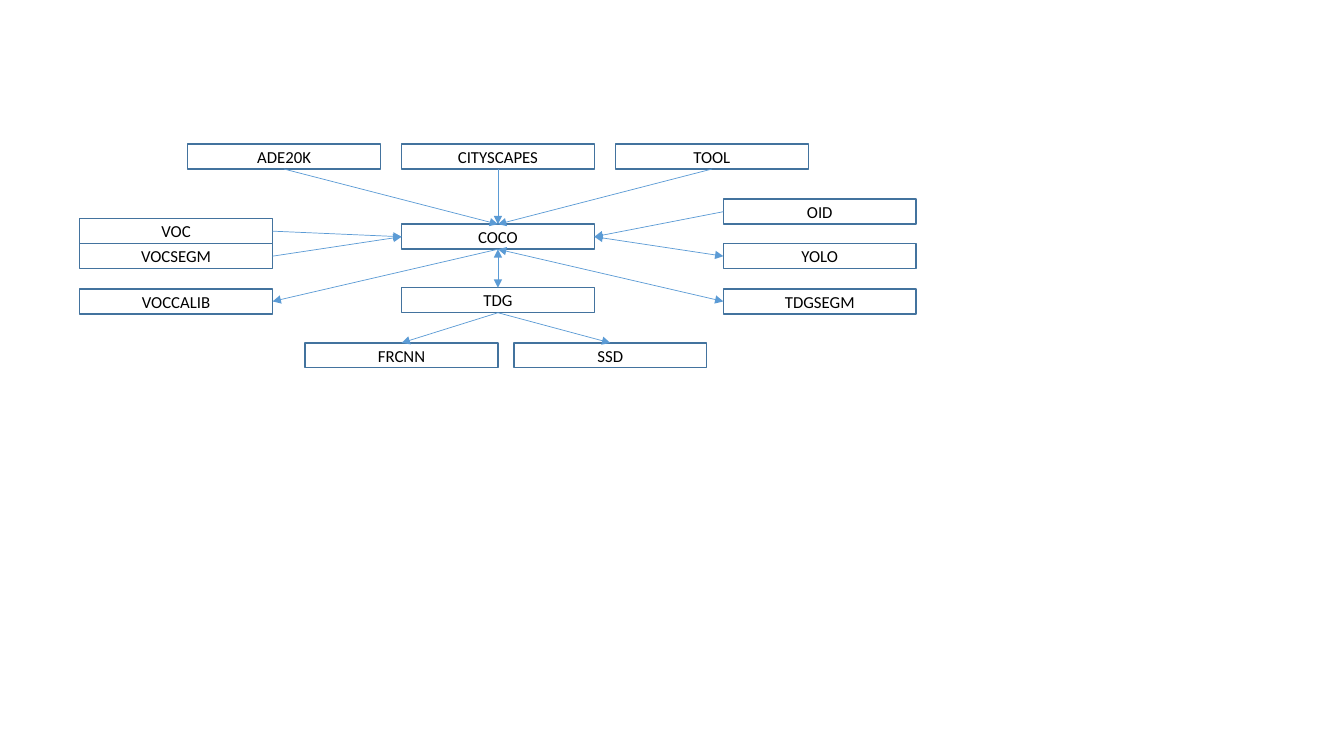
"""Build a slide showing conversions between dataset annotation formats."""
import pptx
import pptx.util
import pptx.dml.color
import pptx.enum.shapes
import pptx.enum.text
import pptx.oxml.ns
from lxml import etree

Cm, Pt = pptx.util.Cm, pptx.util.Pt
RGBColor = pptx.dml.color.RGBColor
WHITE = RGBColor(0xFF, 0xFF, 0xFF)
BLACK = RGBColor(0, 0, 0)
BORDER = RGBColor(0x43, 0x73, 0x9E)
ARROW = RGBColor(0x5B, 0x9B, 0xD5)
BOX_W, BOX_H = 4.86, 0.63
LEFT, CENTER, RIGHT = 2.01, 10.12, 18.23
COL_STEP = 5.39
TOP_ROW, UPPER_ROW, LOWER_ROW, BOTTOM_ROW = 3.63, 6.14, 7.28, 8.64
SITE_TOP, SITE_LEFT, SITE_BOTTOM, SITE_RIGHT = range(4)

prs = pptx.Presentation()
prs.slide_width, prs.slide_height = Cm(33.87), Cm(19.05)
slide = prs.slides.add_slide(prs.slide_layouts[6])

formats = [
    ("ADE20K", CENTER - COL_STEP, TOP_ROW),
    ("CITYSCAPES", CENTER, TOP_ROW),
    ("TOOL", CENTER + COL_STEP, TOP_ROW),
    ("VOC", LEFT, UPPER_ROW - BOX_H),
    ("VOCSEGM", LEFT, UPPER_ROW),
    ("VOCCALIB", LEFT, LOWER_ROW),
    ("COCO", CENTER, 5.65),
    ("TDG", CENTER, 7.25),
    ("OID", RIGHT, 5.02),
    ("YOLO", RIGHT, UPPER_ROW),
    ("TDGSEGM", RIGHT, LOWER_ROW),
    ("FRCNN", CENTER - BOX_W / 2, BOTTOM_ROW),
    ("SSD", 12.95, BOTTOM_ROW),
]
boxes = {}
for name, x, y in formats:
    sp = slide.shapes.add_shape(
        pptx.enum.shapes.MSO_SHAPE.RECTANGLE, Cm(x), Cm(y), Cm(BOX_W), Cm(BOX_H))
    sp.shadow.inherit = False
    sp.fill.solid()
    sp.fill.fore_color.rgb = WHITE
    sp.line.color.rgb = BORDER
    sp.line.width = Pt(1)
    tf = sp.text_frame
    tf.text = name
    tf.margin_top = tf.margin_bottom = 0
    tf.vertical_anchor = pptx.enum.text.MSO_ANCHOR.MIDDLE
    p = tf.paragraphs[0]
    p.alignment = pptx.enum.text.PP_ALIGN.CENTER
    font = p.runs[0].font
    font.name, font.size = "Calibri", Pt(12)
    font.color.rgb = BLACK
    boxes[name] = sp

conversions = [
    ("ADE20K", SITE_BOTTOM, "COCO", SITE_TOP, False),
    ("CITYSCAPES", SITE_BOTTOM, "COCO", SITE_TOP, False),
    ("TOOL", SITE_BOTTOM, "COCO", SITE_TOP, False),
    ("VOC", SITE_RIGHT, "COCO", SITE_LEFT, False),
    ("VOCSEGM", SITE_RIGHT, "COCO", SITE_LEFT, False),
    ("OID", SITE_LEFT, "COCO", SITE_RIGHT, False),
    ("COCO", SITE_BOTTOM, "VOCCALIB", SITE_RIGHT, False),
    ("COCO", SITE_BOTTOM, "TDG", SITE_TOP, True),
    ("COCO", SITE_BOTTOM, "TDGSEGM", SITE_LEFT, True),
    ("YOLO", SITE_LEFT, "COCO", SITE_RIGHT, True),
    ("TDG", SITE_BOTTOM, "FRCNN", SITE_TOP, False),
    ("TDG", SITE_BOTTOM, "SSD", SITE_TOP, False),
]
qn = pptx.oxml.ns.qn
for source, source_site, target, target_site, two_way in conversions:
    cxn = slide.shapes.add_connector(
        pptx.enum.shapes.MSO_CONNECTOR.STRAIGHT, 0, 0, 0, 0)
    cxn.begin_connect(boxes[source], source_site)
    cxn.end_connect(boxes[target], target_site)
    cxn.line.color.rgb = ARROW
    cxn.line.width = Pt(0.5)
    ln = cxn.line._get_or_add_ln()
    for tag in ("a:headEnd", "a:tailEnd") if two_way else ("a:tailEnd",):
        etree.SubElement(ln, qn(tag), type="triangle")
    etree.SubElement(cxn._element.spPr, qn("a:effectLst"))

prs.save("out.pptx")
